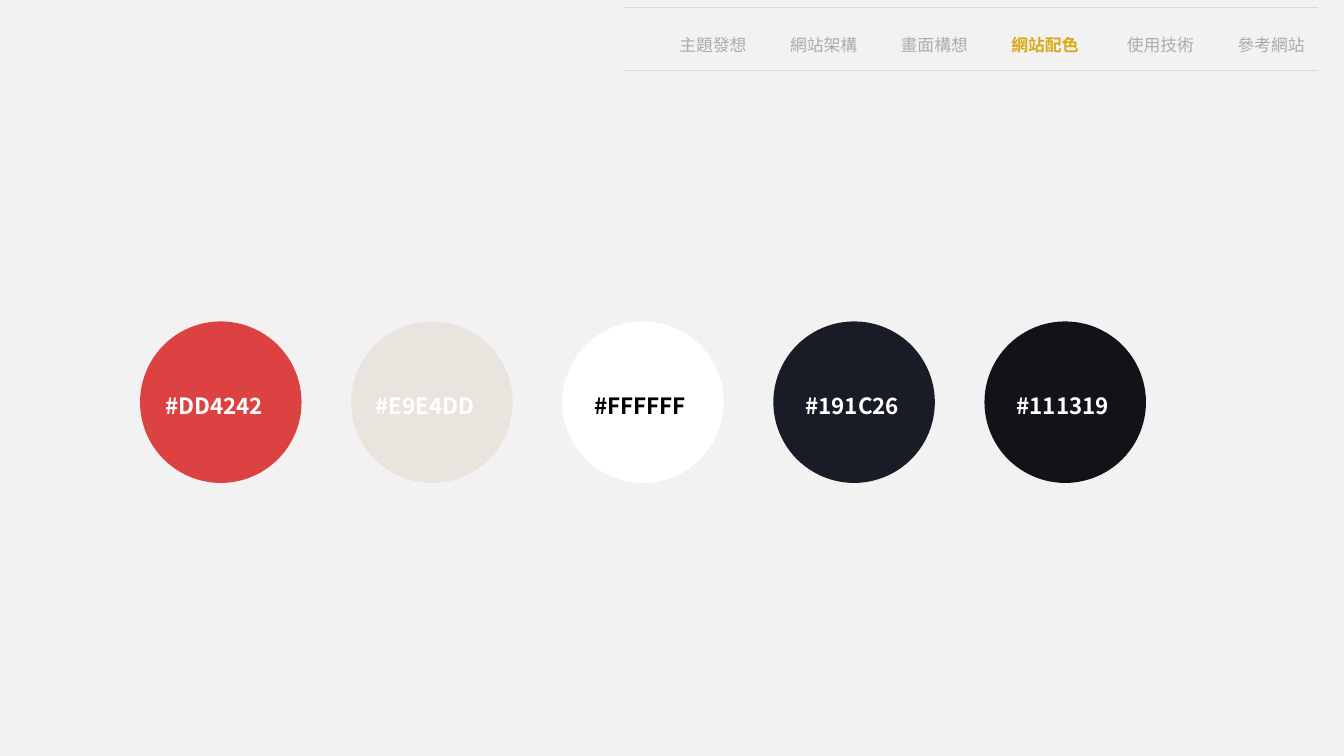
from lxml.etree import SubElement
from pptx import Presentation
from pptx.dml.color import RGBColor
from pptx.enum.shapes import MSO_CONNECTOR, MSO_SHAPE
from pptx.enum.text import MSO_AUTO_SIZE, PP_ALIGN
from pptx.oxml.ns import qn
from pptx.util import Cm, Pt

FONT = "Noto Sans CJK SC"
COLORS = {
    "background": "F2F2F2",
    "rule": "D9D9D9",
    "tab": "AFABAB",
    "active": "D7A914",
    "light": "FFFFFF",
    "dark": "000000",
}
TABS = ["主題發想", "網站架構", "畫面構想", "網站配色", "使用技術", "參考網站"]
ACTIVE_TAB = "網站配色"
# Swatch colour, label colour, label inset from the circle's left edge in cm
SWATCHES = [
    ("DD4242", "light", 0.38),
    ("E9E4DD", "light", 0.36),
    ("FFFFFF", "dark", 0.56),
    ("191C26", "light", 0.56),
    ("111319", "light", 0.56),
]

SLIDE_W, SLIDE_H = 33.87, 19.05
RULE_LEFT, RULE_RIGHT, RULE_TOPS = 15.75, 33.22, (1.78, 0.18)
TAB_LEFT, TAB_TOP, TAB_PITCH, TAB_W, TAB_H = 16.87, 0.84, 2.79, 2.28, 0.69
ACTIVE_EXTRA = 0.12  # the bold tab is wider and pushes later tabs right
CIRCLE_LEFT, CIRCLE_TOP, CIRCLE_PITCH, CIRCLE_SIZE = 3.53, 8.1, 5.32, 4.07
LABEL_TOP, LABEL_W, LABEL_H = 9.7, 3.28, 0.94


def add_filled(shapes, kind, left, top, width, height, color):
    """Add a borderless preset shape in one colour."""
    shape = shapes.add_shape(kind, Cm(left), Cm(top), Cm(width), Cm(height))
    shape.shadow.inherit = False
    shape.fill.solid()
    shape.fill.fore_color.rgb = RGBColor.from_string(color)
    shape.line.fill.background()
    return shape


def add_label(shapes, text, left, top, width, height, size, spacing, color, bold):
    """Add a single line of justified text."""
    box = shapes.add_textbox(Cm(left), Cm(top), Cm(width), Cm(height))
    frame = box.text_frame
    frame.word_wrap = True
    frame.auto_size = MSO_AUTO_SIZE.SHAPE_TO_FIT_TEXT
    paragraph = frame.paragraphs[0]
    run = paragraph.add_run()
    run.text = text
    paragraph.alignment = PP_ALIGN.JUSTIFY
    paragraph.line_spacing = Pt(spacing)
    font = run.font
    font.name, font.size, font.bold = FONT, Pt(size), bold
    font.color.rgb = RGBColor.from_string(COLORS[color])
    SubElement(run._r.get_or_add_rPr(), qn("a:ea"), typeface=FONT)


def add_rule(shapes, top):
    """Add a thin horizontal line of the navigation bar."""
    rule = shapes.add_connector(
        MSO_CONNECTOR.STRAIGHT, Cm(RULE_LEFT), Cm(top), Cm(RULE_RIGHT), Cm(top))
    rule.line.color.rgb = RGBColor.from_string(COLORS["rule"])
    rule.line.width = Pt(0.25)
    SubElement(rule._element.spPr, qn("a:effectLst"))


def add_navigation(shapes):
    """Add the two rules and the row of tabs between them."""
    rules = shapes.add_group_shape().shapes
    for top in RULE_TOPS:
        add_rule(rules, top)
    active_index = TABS.index(ACTIVE_TAB)
    for index, tab in enumerate(TABS):
        active = index == active_index
        left = TAB_LEFT + index * TAB_PITCH + ACTIVE_EXTRA * (index > active_index)
        add_label(shapes, tab, left, TAB_TOP, TAB_W + ACTIVE_EXTRA * active, TAB_H,
                  12, 12, "active" if active else "tab", active)


def add_palette(shapes):
    """Add one group of circle and hex code for each colour."""
    for index, (swatch, label_color, inset) in enumerate(SWATCHES):
        left = CIRCLE_LEFT + index * CIRCLE_PITCH
        group = shapes.add_group_shape().shapes
        add_filled(group, MSO_SHAPE.OVAL, left, CIRCLE_TOP,
                   CIRCLE_SIZE, CIRCLE_SIZE, swatch)
        add_label(group, f"#{swatch}", left + inset, LABEL_TOP, LABEL_W, LABEL_H,
                  16, 21, label_color, True)


presentation = Presentation()
presentation.slide_width, presentation.slide_height = Cm(SLIDE_W), Cm(SLIDE_H)
slide = presentation.slides.add_slide(presentation.slide_layouts[6])
add_filled(slide.shapes, MSO_SHAPE.RECTANGLE, 0, 0, SLIDE_W, SLIDE_H,
           COLORS["background"])
add_navigation(slide.shapes)
add_palette(slide.shapes)
presentation.save("out.pptx")
